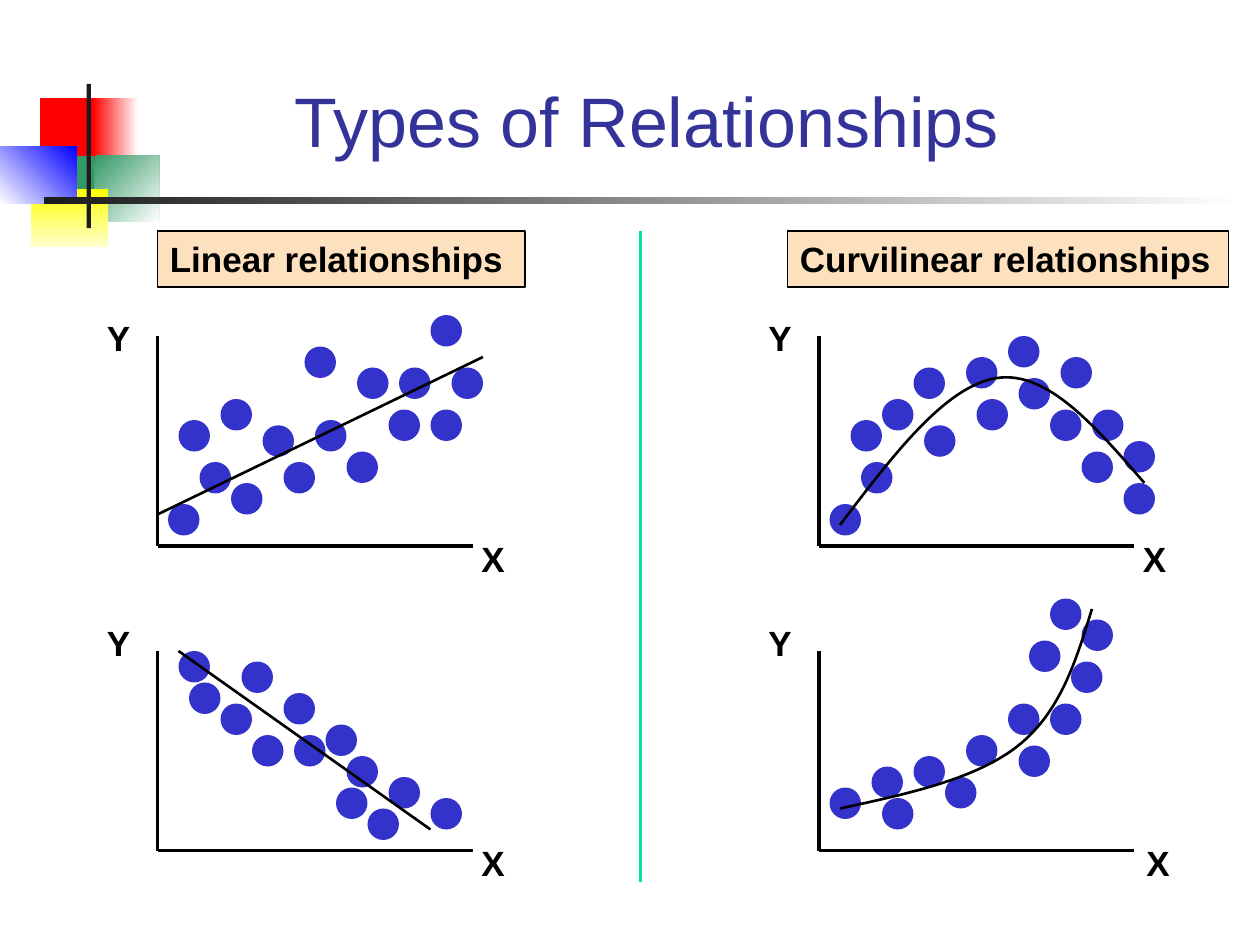
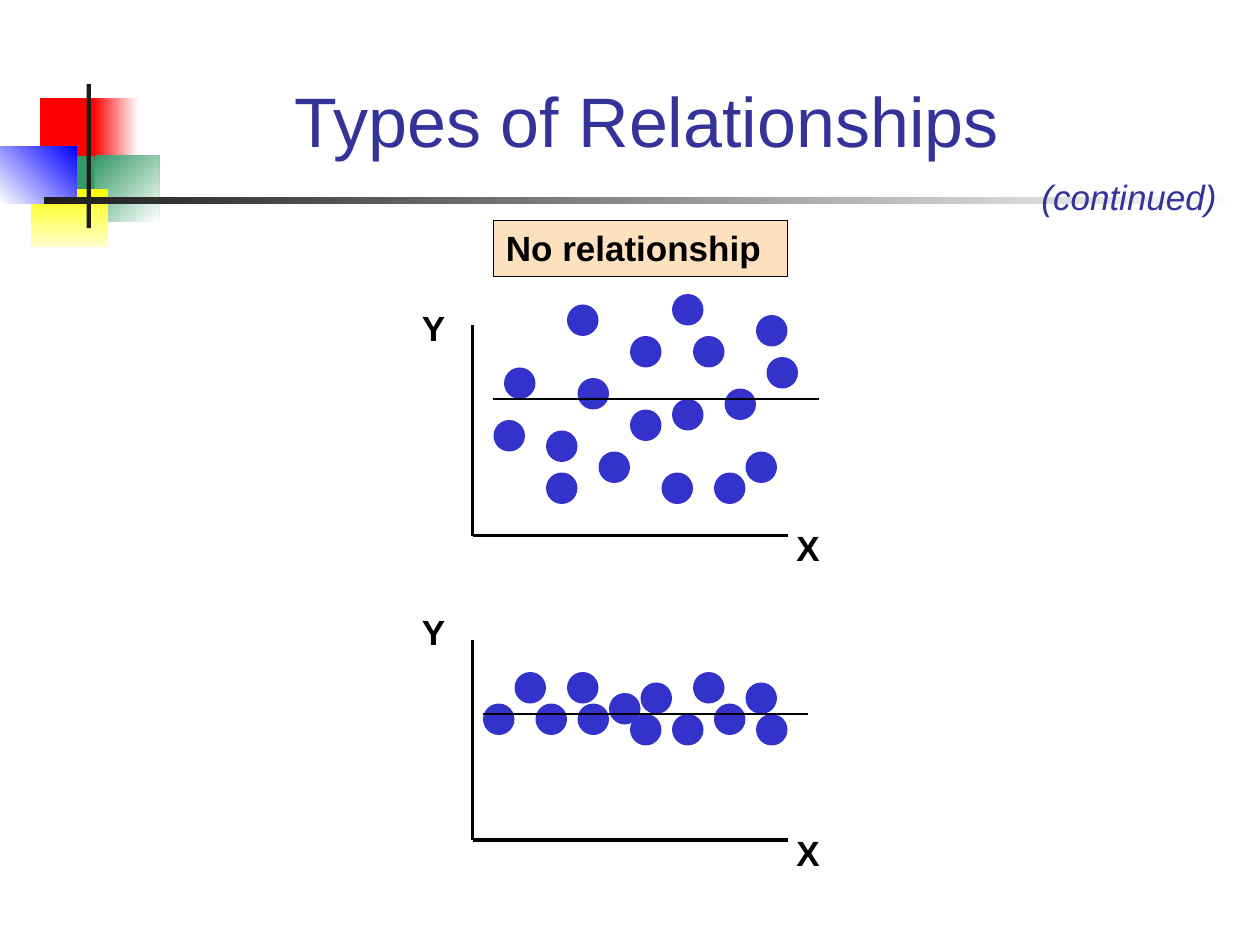
from pptx import Presentation
from pptx.dml.color import RGBColor
from pptx.enum.shapes import MSO_CONNECTOR, MSO_SHAPE
from pptx.enum.text import MSO_ANCHOR, MSO_AUTO_SIZE, PP_ALIGN
from pptx.oxml.ns import qn
from pptx.util import Pt
from lxml import etree

STRAIGHT = MSO_CONNECTOR.STRAIGHT
RECTANGLE, OVAL = MSO_SHAPE.RECTANGLE, MSO_SHAPE.OVAL
TOP, BOTTOM = MSO_ANCHOR.TOP, MSO_ANCHOR.BOTTOM
FIT_SHAPE, CENTER = MSO_AUTO_SIZE.SHAPE_TO_FIT_TEXT, PP_ALIGN.CENTER

BLACK = RGBColor(0x00, 0x00, 0x00)
WHITE = RGBColor(0xFF, 0xFF, 0xFF)
CHARCOAL = RGBColor(0x1C, 0x1C, 0x1C)
RED = RGBColor(0xFF, 0x00, 0x00)
GREEN = RGBColor(0x33, 0x99, 0x66)
YELLOW = RGBColor(0xFF, 0xFF, 0x00)
PALE_YELLOW = RGBColor(0xFF, 0xFF, 0xCC)
BLUE = RGBColor(0x00, 0x00, 0xFF)
NAVY = RGBColor(0x33, 0x33, 0x99)
DOT_BLUE = RGBColor(0x33, 0x33, 0xCC)
PEACH = RGBColor(0xFD, 0xE0, 0xBD)
MINT = RGBColor(0x00, 0xE4, 0xA8)

FONT = "Arial"
TITLE = "Types of Relationships"
GRID = 6  # points per plot unit
DOT = 3 * GRID
AXIS_LENGTH = 30 * GRID

# left, top, width, height, colours (two make a gradient), clockwise angle
BACKDROP = [
    (23, 56, 35, 37.5, (RED,), 0),
    (53, 56, 26, 37.5, (RED, WHITE), 0),
    (54, 89, 37, 37.5, (GREEN, WHITE), 45),
    (31, 89, 23, 37.5, (GREEN,), 0),
    (18, 108, 44, 33, (YELLOW, PALE_YELLOW), 90),
    (0, 83.5, 44, 33, (WHITE, BLUE), 315),
    (49.5, 48, 2.5, 82.5, (CHARCOAL,), 0),
    (25, 112.5, 685, 4, (CHARCOAL, WHITE), 0),
]

# Dots are (right, up) from the origin of their plot, in grid units.
RISING = [(1, 1), (4, 5), (26, 19), (28, 14), (7, 3), (23, 14), (18, 6), (19, 14),
          (14, 16), (2, 9), (6, 11), (10, 8.5), (22, 10), (15, 9), (12, 5), (26, 10)]
FALLING = [(20, 1), (3, 13), (26, 2), (8, 15), (18, 6), (22, 4), (12, 12), (2, 16),
           (6, 11), (9, 8), (17, 3), (16, 9), (13, 8)]
ARCHED = [(1, 1), (4, 5), (29, 7), (23, 15), (9, 14), (29, 3), (25, 6), (19, 13),
          (14, 15), (3, 9), (6, 11), (10, 8.5), (22, 10), (15, 11), (18, 17), (26, 10)]
STEEPENING = [(1, 3), (5, 5), (25, 19), (24, 15), (6, 2), (20, 17), (19, 7), (18, 11),
              (22, 21), (9, 6), (22, 11), (14, 8), (12, 4)]
SCATTERED = [(19, 20), (2, 8), (26, 5), (28, 14), (7, 3), (9, 19), (19, 10), (21, 16),
             (27, 18), (15, 16), (7, 7), (10, 12), (23, 3), (15, 9), (12, 5), (3, 13),
             (18, 3), (24, 11)]
FLAT = [(27, 9), (6, 10), (26, 12), (9, 13), (21, 13), (23, 10), (13, 11), (1, 10),
        (4, 13), (10, 10), (19, 9), (16, 12), (15, 9)]

# A trend is a straight line (2 points) or a chain of Bezier curves (7 points).
RISING_TREND = [(0, 3), (31, 18)]
FALLING_TREND = [(2, 19), (26, 2)]
ARCHED_TREND = [(2, 2), (7.1, 8.7), (12.1, 15.3), (17, 16),
                (21.8, 16.7), (26.4, 11.3), (31, 6)]
STEEPENING_TREND = [(2, 4), (8.5, 5.4), (15, 6.8), (19, 10),
                    (23, 13.2), (24.5, 18.1), (26, 23)]
SCATTERED_TREND = [(2, 13), (33, 13)]
FLAT_TREND = [(1, 12), (32, 12)]


class SlideBuilder:
    def __init__(self):
        self.deck = Presentation()
        self.deck.slide_width, self.deck.slide_height = Pt(720), Pt(540)
        self.layout = self.deck.slide_layouts.get_by_name("Title Only")
        self.page = None

    def new_page(self, title):
        self.page = self.deck.slides.add_slide(self.layout)
        box = self.page.shapes.title
        box.left, box.top, box.width, box.height = Pt(91), Pt(18), Pt(557), Pt(78)
        frame = box.text_frame
        frame.vertical_anchor = BOTTOM
        frame.auto_size = MSO_AUTO_SIZE.NONE
        para = frame.paragraphs[0]
        para.alignment = CENTER
        self.span(para, title, size=40, color=NAVY)

    def span(self, para, text, size=20, color=BLACK, bold=False, italic=False):
        span = para.add_run()
        span.text = text
        font = span.font
        font.name, font.size, font.bold, font.italic = FONT, Pt(size), bold, italic
        font.color.rgb = color

    def shape(self, kind, left, top, width, height, colors, angle=0):
        shape = self.page.shapes.add_shape(kind, Pt(left), Pt(top), Pt(width), Pt(height))
        shape.shadow.inherit = False
        shape.line.fill.background()
        if len(colors) == 1:
            shape.fill.solid()
            shape.fill.fore_color.rgb = colors[0]
        else:
            shape.fill.gradient()
            shape.fill.gradient_angle = (360 - angle) % 360
            for stop, color in zip(shape.fill.gradient_stops, colors):
                stop.color.rgb = color
        return shape

    def backdrop(self):
        """Draw the shared ornament and move it to the layout."""
        for number, (*place, colors, angle) in enumerate(BACKDROP):
            element = self.shape(RECTANGLE, *place, colors, angle).element
            element.nvSpPr.cNvPr.set("id", str(100 + number))
            self.layout.shapes.element.append(element)

    def line(self, start, end, width, color=BLACK):
        line = self.page.shapes.add_connector(STRAIGHT, *map(Pt, start + end))
        line.line.color.rgb = color
        line.line.width = Pt(width)
        etree.SubElement(line.element.spPr, qn("a:effectLst"))

    def curve(self, points, width):
        """Join points by Bezier curves: each three after the first make one curve."""
        start, *others = [(Pt(x), Pt(y)) for x, y in points]
        builder = self.page.shapes.build_freeform(*start)
        builder.add_line_segments(others, close=False)
        curve = builder.convert_to_shape()
        curve.shadow.inherit = False
        curve.fill.background()
        curve.line.color.rgb = BLACK
        curve.line.width = Pt(width)
        outline = next(curve.element.iter(qn("a:path")))
        segments = outline.findall(qn("a:lnTo"))
        for first in range(0, len(segments), 3):
            bezier = etree.SubElement(outline, qn("a:cubicBezTo"))
            for segment in segments[first:first + 3]:
                bezier.append(segment[0])
                outline.remove(segment)

    def text(self, text, left, top, width, height=31, wrap=False, **style):
        box = self.page.shapes.add_textbox(Pt(left), Pt(top), Pt(width), Pt(height))
        frame = box.text_frame
        frame.word_wrap = wrap
        frame.auto_size = FIT_SHAPE
        frame.vertical_anchor = TOP
        self.span(frame.paragraphs[0], text, **style)
        return box

    def heading(self, text, left, top, width):
        box = self.text(text, left, top, width, height=32, wrap=True, bold=True)
        box.fill.solid()
        box.fill.fore_color.rgb = PEACH
        box.line.color.rgb = BLACK
        box.line.width = Pt(1)

    def plot(self, left, bottom, height, dots, trend, x_shift=-2):
        """Draw axes of a height in grid units, their labels, dots and a trend."""
        def place(right, up):
            return left + right * GRID, bottom - up * GRID

        self.line(place(0, height), (left, bottom), 2)
        for right, up in dots:
            x, y = place(right, up)
            self.shape(OVAL, x, y - DOT, DOT, DOT, (DOT_BLUE,))
        self.line((left, bottom), (left + AXIS_LENGTH, bottom), 2)
        self.text("Y", left - 36, bottom - 134.5, 28, bold=True)
        self.text("X", left + AXIS_LENGTH + x_shift, bottom - 8.5, 28, bold=True)
        points = [place(*point) for point in trend]
        if len(points) == 2:
            self.line(*points, 1.5)
        else:
            self.curve(points, 1.5)


def main():
    builder = SlideBuilder()

    builder.new_page(TITLE)
    builder.backdrop()
    builder.plot(90, 486, 19, FALLING, FALLING_TREND)
    builder.plot(90, 312, 20, RISING, RISING_TREND)
    builder.plot(468, 486, 19, STEEPENING, STEEPENING_TREND, x_shift=0)
    builder.plot(468, 312, 20, ARCHED, ARCHED_TREND)
    builder.heading("Linear relationships", 90, 132, 210)
    builder.heading("Curvilinear relationships", 450, 132, 252)
    builder.line((366, 132), (366, 504), 2.25, MINT)

    builder.new_page(TITLE)
    builder.plot(270, 480, 19, FLAT, FLAT_TREND)
    builder.plot(270, 306, 20, SCATTERED, SCATTERED_TREND)
    builder.heading("No relationship", 282, 126, 168)
    builder.text("(continued)", 588, 96.5, 114.5, color=NAVY, italic=True)

    builder.deck.save("out.pptx")


if __name__ == "__main__":
    main()
